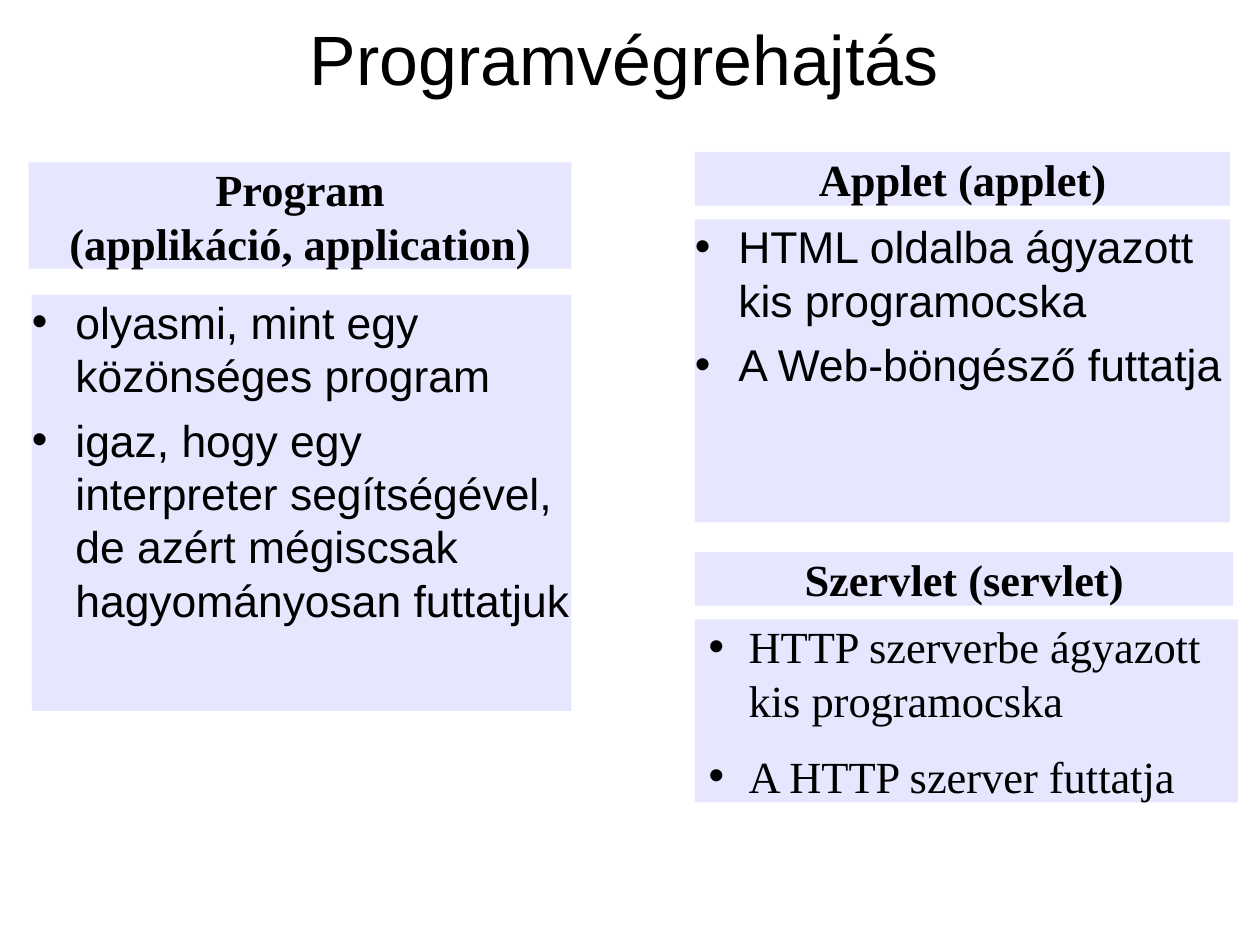
"""Build the slide on ways to run a program."""
from lxml import etree
from pptx import Presentation
from pptx.dml.color import RGBColor
from pptx.enum.shapes import MSO_SHAPE
from pptx.enum.text import MSO_ANCHOR, PP_ALIGN
from pptx.oxml.ns import qn
from pptx.util import Cm, Inches, Pt

RECT = MSO_SHAPE.RECTANGLE
TOP, MIDDLE = MSO_ANCHOR.TOP, MSO_ANCHOR.MIDDLE
LEFT, CENTER = PP_ALIGN.LEFT, PP_ALIGN.CENTER

COLORS = {"ink": "000000", "panel": "E6E6FF"}
SANS, SERIF = "Arial", "Times New Roman"
TITLE = "Programvégrehajtás"

STYLES = {
    "title": {"font": {"name": SANS, "size": Pt(44), "bold": False},
              "para": {"alignment": CENTER}},
    "head": {"font": {"name": SERIF, "size": Pt(28), "bold": True},
             "para": {"alignment": CENTER}},
    "list": {"font": {"name": SANS, "size": Pt(28)},
             "para": {"alignment": LEFT, "space_before": Pt(7)},
             "indent": (0.38, 0.38)},
    "note": {"font": {"name": SERIF, "size": Pt(28)},
             "para": {"alignment": LEFT, "space_after": Pt(14.3)},
             "indent": (0.47, 0.35)},
}

PANELS = [
    ("list", (0.28, 2.58, 4.72, 3.64),
     ["olyasmi, mint egy közönséges program",
      "igaz, hogy egy interpreter segítségével, "
      "de azért mégiscsak hagyományosan futtatjuk"]),
    ("list", (6.08, 1.92, 4.68, 2.65),
     ["HTML oldalba ágyazott kis programocska",
      "A Web-böngésző futtatja"]),
    ("note", (6.08, 5.42, 4.75, 1.6),
     ["HTTP szerverbe ágyazott kis programocska",
      "A HTTP szerver futtatja"]),
    ("head", (6.08, 4.83, 4.71, 0.47), ["Szervlet (servlet)"]),
    ("head", (0.25, 1.42, 4.75, 0.93),
     ["Program", "(applikáció, application)"]),
    ("head", (6.08, 1.33, 4.68, 0.47), ["Applet (applet)"]),
]


def assign(item, values):
    """Set each named attribute of an item."""
    for name, value in values.items():
        setattr(item, name, value)


def add_bullet(para, margin, hang):
    """Give a paragraph a hanging bullet."""
    props = para._p.get_or_add_pPr()
    props.set("marL", str(Inches(margin)))
    props.set("indent", str(-Inches(hang)))
    color = etree.SubElement(props, qn("a:buClr"))
    etree.SubElement(color, qn("a:srgbClr"), val=COLORS["ink"])
    etree.SubElement(props, qn("a:buFont"), typeface=SANS)
    etree.SubElement(props, qn("a:buChar"), char="•")


def write(shape, lines, style, anchor):
    """Fill a shape with styled paragraphs."""
    frame = shape.text_frame
    assign(frame, {"margin_left": 0, "margin_right": 0, "margin_top": 0,
                   "margin_bottom": 0, "word_wrap": True,
                   "vertical_anchor": anchor})
    frame.text = "\n".join(lines)
    for para in frame.paragraphs:
        assign(para, style["para"])
        font = para.runs[0].font
        assign(font, style["font"])
        font.color.rgb = RGBColor.from_string(COLORS["ink"])
        if "indent" in style:
            add_bullet(para, *style["indent"])


def main():
    """Lay out the title and panels, then save."""
    deck = Presentation()
    deck.slide_width = Cm(28)
    deck.slide_height = Cm(21)
    slide = deck.slides.add_slide(deck.slide_layouts[5])

    title = slide.shapes.title
    assign(title, {"left": Inches(0.76), "top": 0,
                   "width": Inches(9.41), "height": Inches(1)})
    write(title, [TITLE], STYLES["title"], MIDDLE)

    for kind, box, lines in PANELS:
        panel = slide.shapes.add_shape(RECT, *map(Inches, box))
        panel.shadow.inherit = False
        panel.fill.solid()
        panel.fill.fore_color.rgb = RGBColor.from_string(COLORS["panel"])
        panel.line.fill.background()
        write(panel, lines, STYLES[kind], TOP)

    deck.save("out.pptx")


if __name__ == "__main__":
    main()
